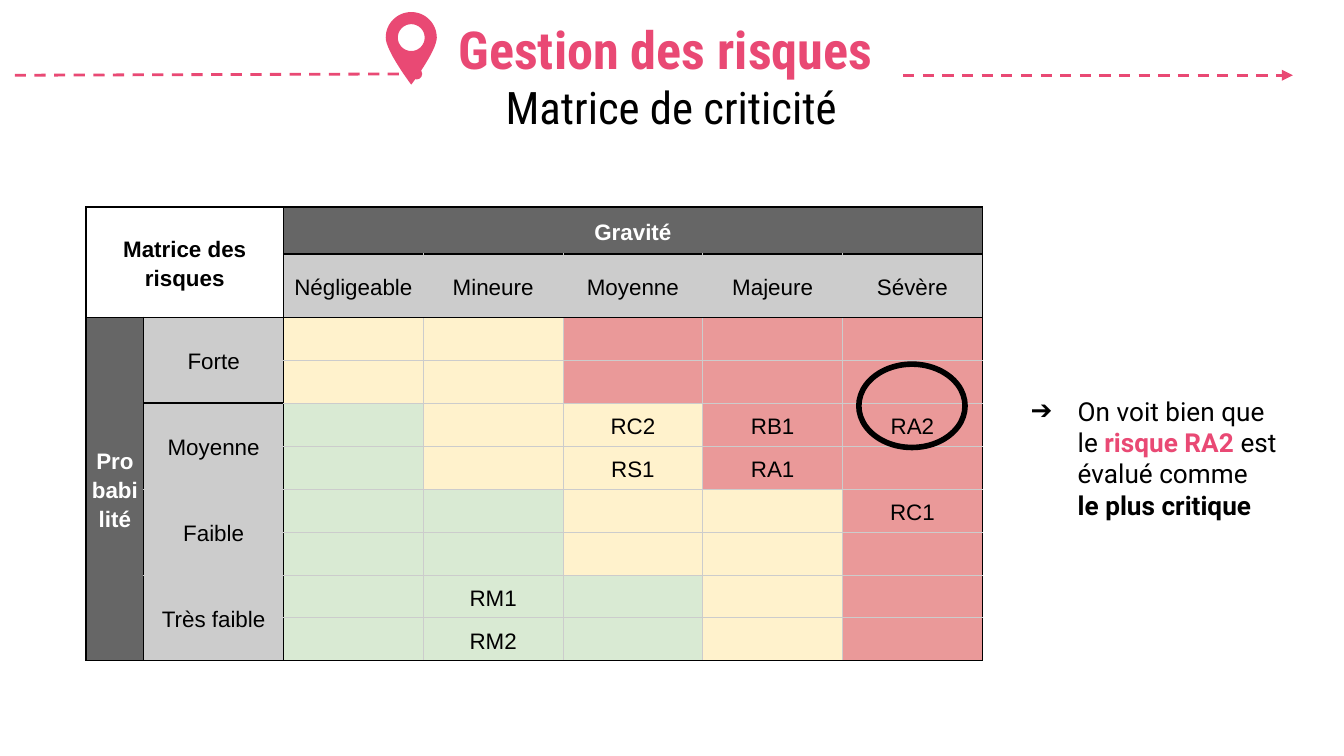
from math import cos, pi, sin

from lxml.etree import SubElement
from pptx import Presentation
from pptx.dml.color import RGBColor
from pptx.enum.dml import MSO_LINE
from pptx.enum.shapes import MSO_CONNECTOR, MSO_SHAPE
from pptx.enum.text import MSO_ANCHOR, MSO_AUTO_SIZE, PP_ALIGN
from pptx.oxml.ns import qn
from pptx.util import Inches, Pt

PINK, BLACK, WHITE = "E94974", "000000", "FFFFFF"
DARK_GRAY, LIGHT_GRAY = "666666", "CCCCCC"
LEVEL_COLORS = {"G": "D9EAD3", "Y": "FFF2CC", "R": "EA9999"}

SEVERITIES = ["Négligeable", "Mineure", "Moyenne", "Majeure", "Sévère"]
PROBABILITIES = ["Forte", "Moyenne", "Faible", "Très faible"]
LEVELS = ["YYRRR", "GYYRR", "GGYYR", "GGGYR"]  # one string per probability
RISKS = {  # (row, column) in the table
    (4, 4): "RC2", (4, 5): "RB1", (4, 6): "RA2", (5, 4): "RS1",
    (5, 5): "RA1", (6, 6): "RC1", (8, 3): "RM1", (9, 3): "RM2",
}
COLUMN_WIDTHS = [0.43] + [1.04] * 6
ROW_HEIGHTS = [0.35, 0.47] + [0.32] * 8
BLACK_COLUMN_EDGES = {0, 1, 2, 7}
BLACK_ROW_EDGES = {0, 1, 2, 10}

DASHED_LINES = [  # start, end, arrowhead
    ((6.72, 0.56), (9.62, 0.56), "triangle"),
    ((0.11, 0.56), (3.1, 0.55), "oval"),
]


def rgb(color):
    return RGBColor.from_string(color)


def add_text(paragraph, text, size=12, font="Arial", color=BLACK, bold=False):
    """Add formatted text; a newline becomes a line break."""
    for index, line in enumerate(text.split("\n")):
        if index:
            paragraph.add_line_break()
        if line:
            run = paragraph.add_run()
            run.text = line
            run.font.size, run.font.name, run.font.bold = Pt(size), font, bold
            run.font.color.rgb = rgb(color)


def set_insets(frame, horizontal=0.1, vertical=0.1):
    frame.margin_left = frame.margin_right = Inches(horizontal)
    frame.margin_top = frame.margin_bottom = Inches(vertical)


def add_title(slide):
    title = slide.shapes.title
    title.left, title.top = Inches(2.32), Inches(0.35)
    title.width, title.height = Inches(5.35), Inches(0.42)
    frame = title.text_frame
    set_insets(frame)
    frame.word_wrap = True
    frame.auto_size = MSO_AUTO_SIZE.NONE
    frame.vertical_anchor = MSO_ANCHOR.MIDDLE
    heading, subtitle = frame.paragraphs[0], frame.add_paragraph()
    add_text(heading, "Gestion des risques ", 28, "Roboto Condensed", PINK, True)
    add_text(subtitle, "Matrice de criticité", 24, "Roboto Condensed")
    for paragraph in (heading, subtitle):
        paragraph.alignment = PP_ALIGN.CENTER
        paragraph.space_before = Pt(0)


def set_borders(cell, black_edges):
    properties = cell._tc.get_or_add_tcPr()
    for index, (edge, black) in enumerate(zip(("lnL", "lnR", "lnT", "lnB"), black_edges)):
        width = Pt(0.75) if black else Pt(0.5)
        line = properties.makeelement(qn(f"a:{edge}"), {"w": str(int(width))})
        fill = SubElement(line, qn("a:solidFill"))
        SubElement(fill, qn("a:srgbClr"), val=BLACK if black else LIGHT_GRAY)
        properties.insert(index, line)


def fill_cell(table, row, column, text, fill, rows=1, columns=1, **text_format):
    """Format one cell or merged block, with black lines on group edges."""
    cell = table.cell(row, column)
    if rows * columns > 1:
        cell.merge(table.cell(row + rows - 1, column + columns - 1))
    cell.fill.solid()
    cell.fill.fore_color.rgb = rgb(fill)
    cell.vertical_anchor = MSO_ANCHOR.MIDDLE
    set_insets(cell, 0.03, 0.02)
    paragraph = cell.text_frame.paragraphs[0]
    paragraph.alignment, paragraph.line_spacing = PP_ALIGN.CENTER, 1.15
    if text:
        add_text(paragraph, text, **text_format)
    else:
        SubElement(paragraph._p, qn("a:endParaRPr"), sz="1200")

    def is_black_row_edge(edge):
        return edge in BLACK_ROW_EDGES or (column == 1 and edge == 4)

    set_borders(cell, (
        column in BLACK_COLUMN_EDGES, column + columns in BLACK_COLUMN_EDGES,
        is_black_row_edge(row), is_black_row_edge(row + rows),
    ))


def add_matrix(slide):
    frame = slide.shapes.add_table(
        len(ROW_HEIGHTS), len(COLUMN_WIDTHS), Inches(0.64), Inches(1.54),
        Inches(sum(COLUMN_WIDTHS)), Inches(sum(ROW_HEIGHTS)))
    table = frame.table
    table.first_row = table.horz_banding = False
    for column, width in zip(table.columns, COLUMN_WIDTHS):
        column.width = Inches(width)
    for row, height in zip(table.rows, ROW_HEIGHTS):
        row.height = Inches(height)

    fill_cell(table, 0, 0, "Matrice des risques", WHITE, rows=2, columns=2, bold=True)
    fill_cell(table, 0, 2, "Gravité", DARK_GRAY, columns=5, color=WHITE, bold=True)
    fill_cell(table, 2, 0, "Probabilité", DARK_GRAY, rows=8, color=WHITE, bold=True)
    for column, severity in enumerate(SEVERITIES, 2):
        fill_cell(table, 1, column, severity, LIGHT_GRAY)
    for index, (probability, levels) in enumerate(zip(PROBABILITIES, LEVELS)):
        first_row = 2 + 2 * index
        fill_cell(table, first_row, 1, probability, LIGHT_GRAY, rows=2)
        for row in (first_row, first_row + 1):
            for column, level in enumerate(levels, 2):
                fill_cell(table, row, column, RISKS.get((row, column)), LEVEL_COLORS[level])


def add_dashed_line(slide, start, end, arrowhead):
    connector = slide.shapes.add_connector(
        MSO_CONNECTOR.STRAIGHT, *(Inches(value) for value in start + end))
    connector.line.color.rgb = rgb(PINK)
    connector.line.width = Pt(1.5)
    connector.line.dash_style = MSO_LINE.DASH
    SubElement(connector.line._ln, qn("a:tailEnd"), type=arrowhead)
    SubElement(connector._element.spPr, qn("a:effectLst"))


def arc(center_x, center_y, radius, start, end, steps=32):
    angles = [start + (end - start) * step / steps for step in range(steps + 1)]
    return [(center_x + radius * cos(angle), center_y + radius * sin(angle)) for angle in angles]


def add_map_pin(slide, center_x=3.06, center_y=0.28, radius=0.19, tip_y=0.63):
    # Cubic curve from the left of the head to the tip, mirrored on the right
    left_side = []
    for step in range(17):
        t = step / 16
        x = center_x - radius * ((1 - t) ** 3 + 3 * t * (1 - t) ** 2)
        y = (center_y * (1 - t) ** 3 + (center_y + 0.1) * 3 * t * (1 - t) ** 2
             + tip_y * (3 * t ** 2 * (1 - t) + t ** 3))
        left_side.append((x, y))
    right_side = [(2 * center_x - x, y) for x, y in left_side]
    body = arc(center_x, center_y, radius, pi, 2 * pi) + right_side + left_side[::-1]
    hole = arc(center_x, center_y, 0.1, 0, 2 * pi)

    body, hole = ([(Inches(x), Inches(y)) for x, y in outline] for outline in (body, hole))
    builder = slide.shapes.build_freeform(*body[0])
    builder.add_line_segments(body[1:])
    builder.move_to(*hole[0])
    builder.add_line_segments(hole[1:])
    pin = builder.convert_to_shape()
    pin.shadow.inherit = False
    pin.fill.solid()
    pin.fill.fore_color.rgb = rgb(PINK)
    pin.line.fill.background()


def add_comment(slide):
    box = slide.shapes.add_textbox(Inches(7.42), Inches(2.84), Inches(2.41), Inches(1.14))
    frame = box.text_frame
    frame.word_wrap = True
    set_insets(frame)
    paragraph = frame.paragraphs[0]
    properties = paragraph._p.get_or_add_pPr()
    properties.set("marL", str(Inches(0.5)))
    properties.set("indent", str(Inches(-0.35)))
    bullet_color = SubElement(properties, qn("a:buClr"))
    SubElement(bullet_color, qn("a:srgbClr"), val=BLACK)
    SubElement(properties, qn("a:buFont"), typeface="Roboto")
    SubElement(properties, qn("a:buChar"), char="➔")
    add_text(paragraph, "On voit bien que \nle ", 14, "Roboto")
    add_text(paragraph, "risque RA2", 14, "Roboto", PINK, True)
    add_text(paragraph, " est évalué comme \n", 14, "Roboto")
    add_text(paragraph, "le plus critique", 14, "Roboto", bold=True)


def add_highlight(slide):
    ellipse = slide.shapes.add_shape(
        MSO_SHAPE.OVAL, Inches(6.39), Inches(2.71), Inches(0.79), Inches(0.62))
    ellipse.shadow.inherit = False
    ellipse.fill.background()
    ellipse.line.color.rgb = rgb(BLACK)
    ellipse.line.width = Pt(3)


def main():
    presentation = Presentation()
    presentation.slide_width = Inches(10)
    presentation.slide_height = Inches(10 * 9 / 16)
    slide = presentation.slides.add_slide(presentation.slide_layouts[5])
    add_matrix(slide)
    add_title(slide)
    for start, end, arrowhead in DASHED_LINES:
        add_dashed_line(slide, start, end, arrowhead)
    add_map_pin(slide)
    add_comment(slide)
    add_highlight(slide)
    presentation.save("out.pptx")


if __name__ == "__main__":
    main()
